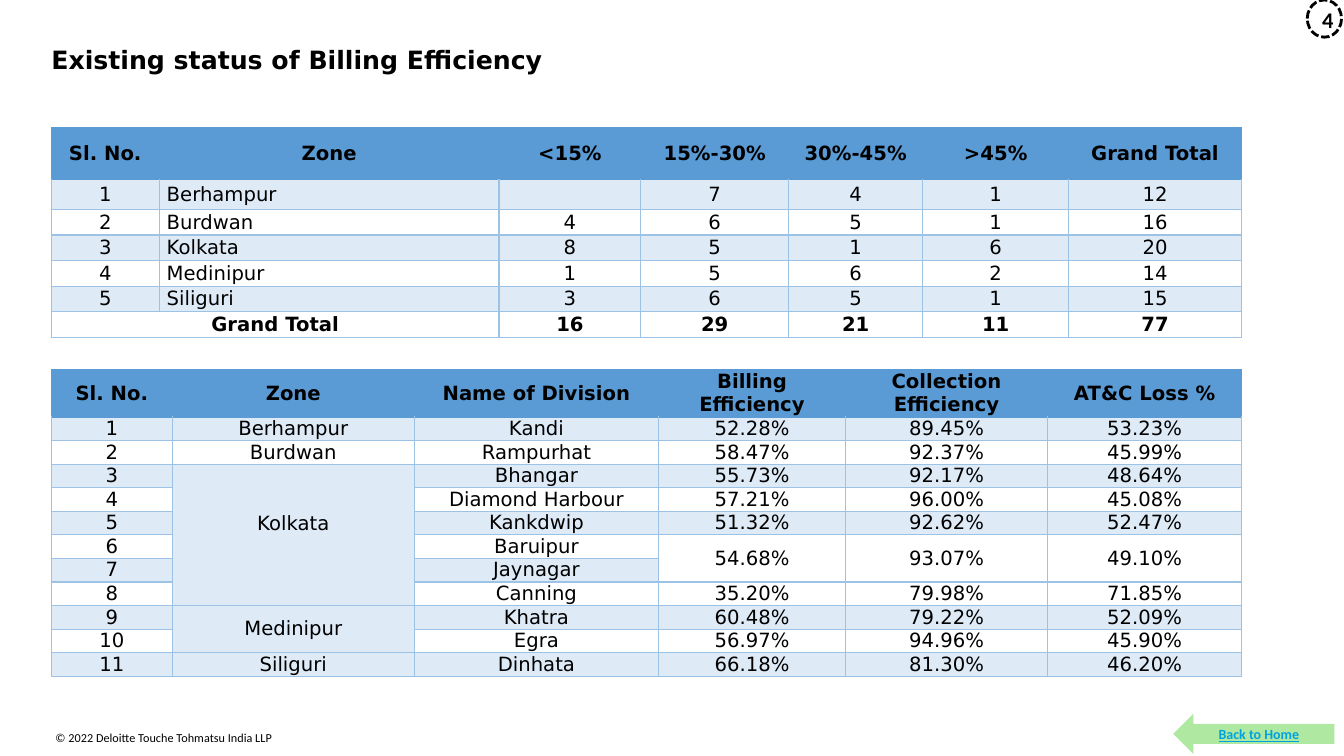
from lxml import etree
from pptx import Presentation
from pptx.dml.color import RGBColor
from pptx.enum.dml import MSO_LINE
from pptx.enum.shapes import MSO_SHAPE
from pptx.enum.text import MSO_ANCHOR, PP_ALIGN
from pptx.oxml.ns import qn
from pptx.util import Pt

BLACK = RGBColor(0x00, 0x00, 0x00)
WHITE = RGBColor(0xFF, 0xFF, 0xFF)
BLUE = RGBColor(0x5B, 0x9B, 0xD5)
PALE = RGBColor(0xDE, 0xEA, 0xF6)
EDGE = RGBColor(0x9C, 0xC2, 0xE5)
GREEN = RGBColor(0xAE, 0xE8, 0xA1)
CYAN = RGBColor(0x00, 0xA3, 0xE0)
LEFT, CENTER = PP_ALIGN.LEFT, PP_ALIGN.CENTER
MIDDLE = MSO_ANCHOR.MIDDLE
ARROW, OVAL = MSO_SHAPE.LEFT_ARROW, MSO_SHAPE.OVAL
DASH = MSO_LINE.SQUARE_DOT
SANS, BODY = "DejaVu Sans", "Calibri"


def write(frame, text, size, face=SANS, color=BLACK, bold=False,
          under=False, align=LEFT, pad=0, space=None):
    frame.word_wrap = True
    frame.margin_left = frame.margin_right = Pt(pad)
    frame.margin_top = frame.margin_bottom = Pt(pad)
    para = frame.paragraphs[0]
    para.alignment = align
    para.line_spacing = space
    run = para.add_run()
    run.text = text
    font = run.font
    font.name, font.size, font.bold = face, Pt(size), bold
    font.underline = under
    font.color.rgb = color


def border(cell, colors):
    """Draw 1 pt borders; colors maps L, R, T, B to a colour."""
    props = cell._tc.get_or_add_tcPr()
    for spot, (side, color) in enumerate(colors.items()):
        line = etree.Element(qn("a:ln" + side), w=str(Pt(1)))
        fill = etree.SubElement(line, qn("a:solidFill"))
        etree.SubElement(fill, qn("a:srgbClr"), val=str(color))
        props.insert(spot, line)


deck = Presentation()
deck.slide_width, deck.slide_height = Pt(960), Pt(540)
slide = deck.slides.add_slide(deck.slide_layouts[6])
shapes = slide.shapes

# Footer and title
foot = shapes.add_textbox(Pt(39.6), Pt(522), Pt(422), Pt(15.8))
write(foot.text_frame, "© 2022 Deloitte Touche Tohmatsu India LLP", 8.7, BODY)
title = shapes.add_textbox(Pt(36.7), Pt(31.7), Pt(886), Pt(26.6))
write(title.text_frame, "Existing status of Billing Efficiency", 18, bold=True)

# Home arrow and page badge
home = shapes.add_shape(ARROW, Pt(838), Pt(509.8), Pt(115.2), Pt(28.8))
home.fill.solid()
home.fill.fore_color.rgb = GREEN
home.line.fill.background()
write(home.text_frame, "Back to Home", 10, BODY, CYAN, bold=True,
      under=True, align=CENTER, pad=7.2, space=1.06)

badge = shapes.add_shape(OVAL, Pt(933.8), Pt(0), Pt(24.5), Pt(26.6))
badge.fill.solid()
badge.fill.fore_color.rgb = WHITE
badge.line.color.rgb = BLACK
badge.line.width = Pt(2)
badge.line.dash_style = DASH
write(badge.text_frame, "4", 16, BODY, bold=True, align=CENTER,
      pad=7.2, space=1.06)

for shape in (home, badge):
    shape.shadow.inherit = False
    shape.text_frame.vertical_anchor = MIDDLE

# Tables
zones = [
    ["Sl. No.", "Zone", "<15%", "15%-30%", "30%-45%", ">45%", "Grand Total"],
    ["1", "Berhampur", "", "7", "4", "1", "12"],
    ["2", "Burdwan", "4", "6", "5", "1", "16"],
    ["3", "Kolkata", "8", "5", "1", "6", "20"],
    ["4", "Medinipur", "1", "5", "6", "2", "14"],
    ["5", "Siliguri", "3", "6", "5", "1", "15"],
    ["Grand Total", "", "16", "29", "21", "11", "77"],
]
units = [
    ["Sl. No.", "Zone", "Name of Division", "Billing Efficiency",
     "Collection Efficiency", "AT&C Loss %"],
    ["1", "Berhampur", "Kandi", "52.28%", "89.45%", "53.23%"],
    ["2", "Burdwan", "Rampurhat", "58.47%", "92.37%", "45.99%"],
    ["3", "Kolkata", "Bhangar", "55.73%", "92.17%", "48.64%"],
    ["4", "", "Diamond Harbour", "57.21%", "96.00%", "45.08%"],
    ["5", "", "Kankdwip", "51.32%", "92.62%", "52.47%"],
    ["6", "", "Baruipur", "54.68%", "93.07%", "49.10%"],
    ["7", "", "Jaynagar", "", "", ""],
    ["8", "", "Canning", "35.20%", "79.98%", "71.85%"],
    ["9", "Medinipur", "Khatra", "60.48%", "79.22%", "52.09%"],
    ["10", "", "Egra", "56.97%", "94.96%", "45.90%"],
    ["11", "Siliguri", "Dinhata", "66.18%", "81.30%", "46.20%"],
]
# Rows, top, column widths, head height, row height, merges, left column, total row
plans = [
    (zones, 91.4, [77, 242.8, 101.2, 105.7, 95.7, 104.4, 123.2],
     36.7, 18.25, [(6, 0, 6, 1)], 1, 6),
    (units, 264.2, [86.4, 172.8, 174.6, 133.4, 144.5, 138.6],
     32.9, 16.45, [(3, 1, 8, 1), (9, 1, 10, 1)]
     + [(6, col, 7, col) for col in (3, 4, 5)], None, None),
]
grids = []
for rows, top, widths, head, step, merges, name, total in plans:
    high = head + step * (len(rows) - 1)
    grid = shapes.add_table(len(rows), len(widths), Pt(36.7), Pt(top),
                            Pt(sum(widths)), Pt(high)).table
    grid.horz_banding = False
    grids.append(grid)
    for col, width in enumerate(widths):
        grid.columns[col].width = Pt(width)
    for top_row, first, low_row, last in merges:
        grid.cell(top_row, first).merge(grid.cell(low_row, last))
    for row, texts in enumerate(rows):
        grid.rows[row].height = Pt(step if row else head)
        for col, text in enumerate(texts):
            cell = grid.cell(row, col)
            side = LEFT if row not in (0, total) and col == name else CENTER
            write(cell.text_frame, text, 14, bold=row in (0, total), align=side)
            cell.margin_left = cell.margin_right = Pt(5.4)
            cell.margin_top = cell.margin_bottom = 0
            cell.vertical_anchor = MIDDLE
            if row == 0 or row % 2:
                cell.fill.solid()
                cell.fill.fore_color.rgb = PALE if row else BLUE
            else:
                cell.fill.background()
            edge = EDGE if row else BLUE
            border(cell, {"L": edge, "R": edge,
                          "T": BLUE if row < 2 else EDGE, "B": edge})

# The Kolkata label sits one line above the middle of its block
grids[1].cell(3, 1).margin_bottom = Pt(16.45)

deck.save("out.pptx")
